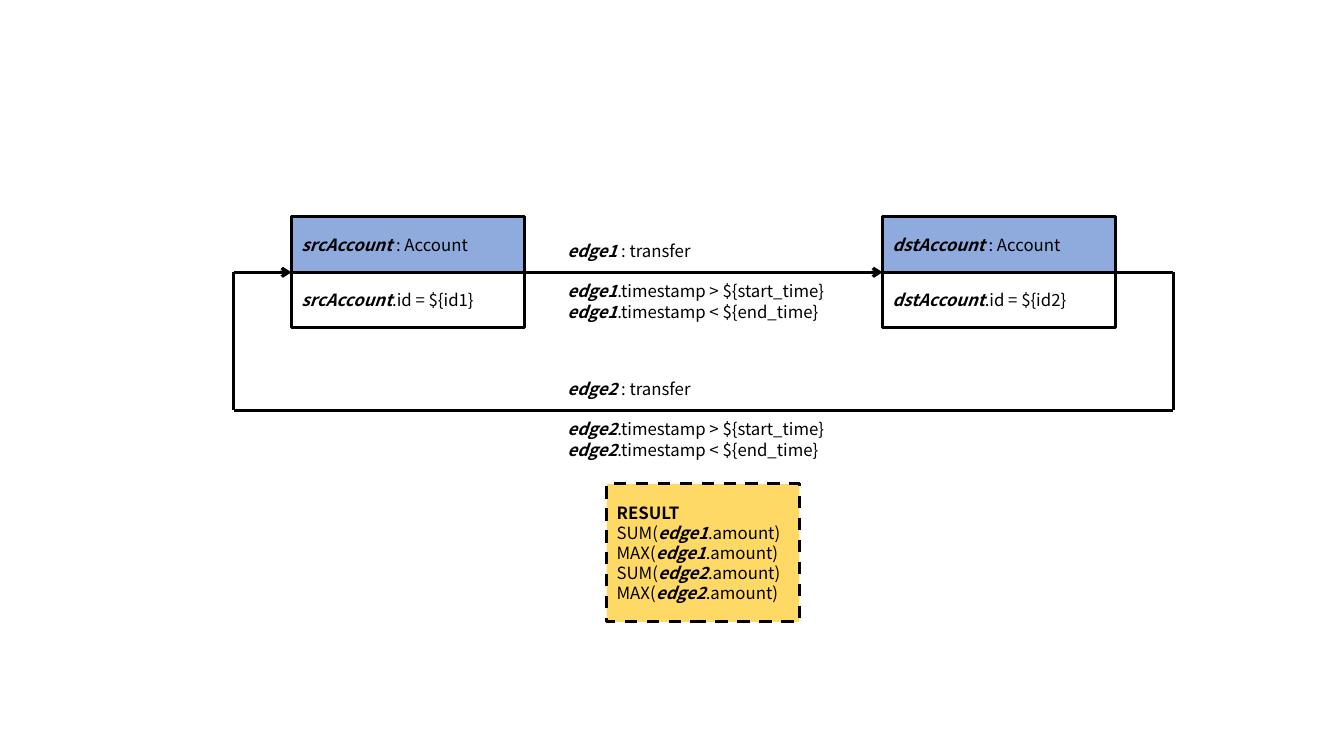
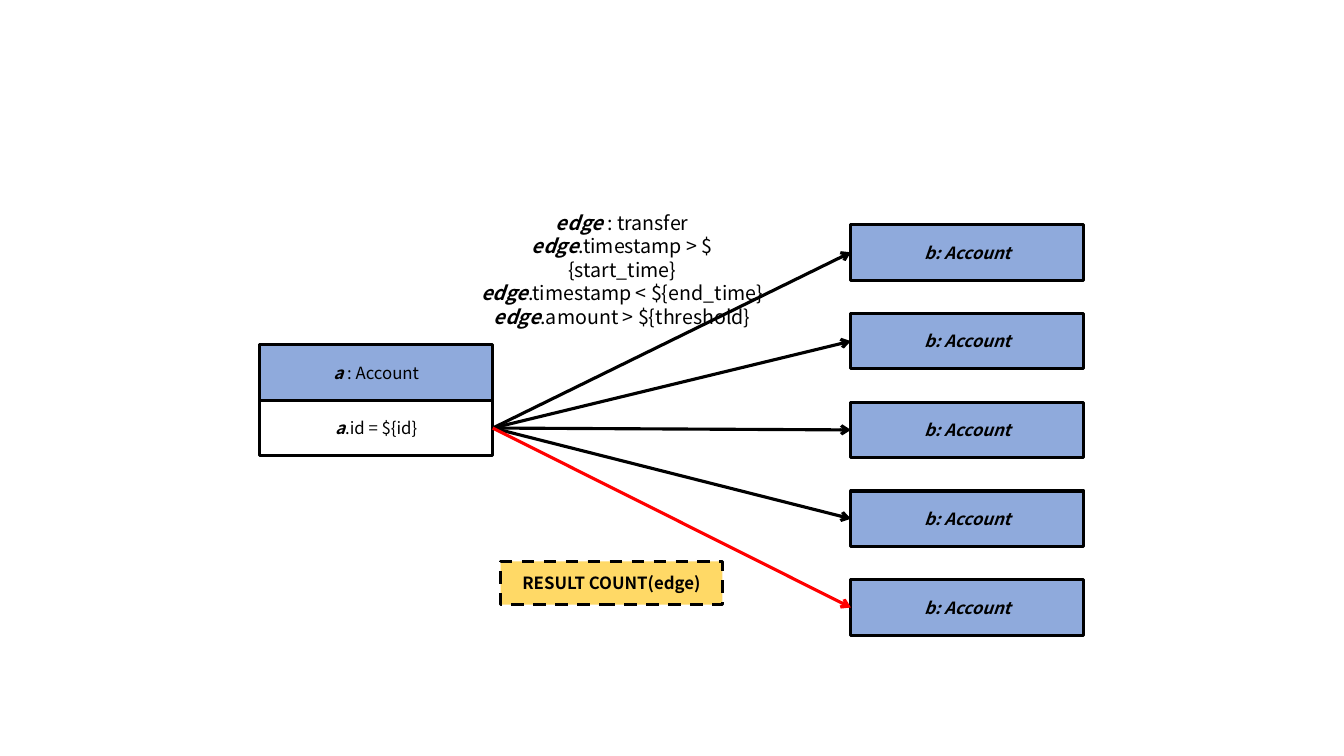
from dataclasses import dataclass
from pptx import Presentation
from pptx.dml.color import RGBColor
from pptx.enum.dml import MSO_LINE
from pptx.enum.shapes import MSO_CONNECTOR, MSO_SHAPE
from pptx.enum.text import MSO_ANCHOR, PP_ALIGN
from pptx.oxml.ns import qn
from pptx.util import Pt
from lxml.etree import SubElement


@dataclass(frozen=True)
class Theme:
    ink: RGBColor = RGBColor(0, 0, 0)
    alert: RGBColor = RGBColor(255, 0, 0)
    header: RGBColor = RGBColor(0x8F, 0xAA, 0xDC)
    result: RGBColor = RGBColor(0xFF, 0xD9, 0x66)
    font: str = "Noto Sans CJK SC"
    body: float = 12
    large: float = 14
    leading: float = 1.2
    stroke: float = 2.25


@dataclass(frozen=True)
class Box:
    left: float
    top: float
    width: float
    height: float

    @property
    def right(self):
        return self.left + self.width

    @property
    def bottom(self):
        return self.top + self.height

    @property
    def middle(self):
        return self.top + self.height / 2

    @property
    def lengths(self):
        return [Pt(value) for value in (self.left, self.top, self.width, self.height)]


THEME = Theme()
CELL_WIDTH, CELL_HEIGHT = 166.4, 39.7
PLAIN = {"bold": False, "italic": False}
STRONG = {"bold": True, "italic": False}
NAME = {"bold": True, "italic": True}


def apply_format(target, values):
    for key, value in values.items():
        setattr(target, key, value)


def named(name, rest):
    return [(name, NAME), (rest, PLAIN)]


def write_lines(frame, lines, size=THEME.body, align=PP_ALIGN.LEFT, gap_after_first=0):
    frame.word_wrap = True
    for index, line in enumerate(lines):
        para = frame.paragraphs[0] if index == 0 else frame.add_paragraph()
        apply_format(para, {
            "alignment": align,
            "line_spacing": Pt(size * THEME.leading),
            "space_before": Pt(gap_after_first if index == 1 else 0),
        })
        for text, style in line:
            span = para.add_run()
            span.text = text
            apply_format(span.font, {"name": THEME.font, "size": Pt(size), **style})
            span.font.color.rgb = THEME.ink


def add_panel(page, box, lines, fill=None, align=PP_ALIGN.LEFT, dash=None):
    panel = page.shapes.add_shape(MSO_SHAPE.RECTANGLE, *box.lengths)
    panel.shadow.inherit = False
    if fill is None:
        panel.fill.background()
    else:
        panel.fill.solid()
        panel.fill.fore_color.rgb = fill
    panel.line.color.rgb = THEME.ink
    apply_format(panel.line, {"width": Pt(THEME.stroke), "dash_style": dash})
    panel.text_frame.vertical_anchor = MSO_ANCHOR.MIDDLE
    write_lines(panel.text_frame, lines, align=align)


def add_result(page, box, lines, align=PP_ALIGN.LEFT):
    add_panel(page, box, lines, THEME.result, align, MSO_LINE.DASH)


def add_account(page, box, name, condition, separator=" ", align=PP_ALIGN.LEFT):
    half = box.height / 2
    rows = (
        (named(name + separator, ": Account"), THEME.header),
        (named(name, condition), None),
    )
    for index, (line, fill) in enumerate(rows):
        cell = Box(box.left, box.top + index * half, box.width, half)
        add_panel(page, cell, [line], fill, align)


def add_label(page, box, lines, **options):
    label = page.shapes.add_textbox(*box.lengths)
    write_lines(label.text_frame, lines, **options)


def edge_lines(name):
    return [
        named(name + " ", ": transfer"),
        named(name, ".timestamp > ${start_time}"),
        named(name, ".timestamp < ${end_time}"),
    ]


def add_line(page, start, end, color=THEME.ink, arrow=False):
    connector = page.shapes.add_connector(
        MSO_CONNECTOR.STRAIGHT, *[Pt(value) for value in (*start, *end)])
    connector.line.color.rgb = color
    connector.line.width = Pt(THEME.stroke)
    if arrow:
        SubElement(connector.line._get_or_add_ln(), qn("a:tailEnd"), type="arrow")
    SubElement(connector._element.spPr, qn("a:effectLst"))


def draw_transfer_cycle(page, box):
    margin = 41.4
    source = Box(box.left + margin, box.top, CELL_WIDTH, 2 * CELL_HEIGHT)
    target = Box(box.right - margin - CELL_WIDTH, box.top, CELL_WIDTH, 2 * CELL_HEIGHT)
    return_level = box.top + 138.2
    add_account(page, source, "srcAccount", ".id = ${id1}")
    add_account(page, target, "dstAccount", ".id = ${id2}")

    add_line(page, (source.right, source.middle), (target.left, target.middle), arrow=True)
    corners = [
        (target.right, target.middle),
        (box.right, target.middle),
        (box.right, return_level),
        (box.left, return_level),
        (box.left, source.middle),
        (source.left, source.middle),
    ]
    for index, (start, end) in enumerate(zip(corners, corners[1:])):
        add_line(page, start, end, arrow=index == len(corners) - 2)

    for name, level in (("edge1", source.middle), ("edge2", return_level)):
        label = Box(box.left + 231.4, level - 26, 216, 65.5)
        add_label(page, label, edge_lines(name),
                  gap_after_first=THEME.body * THEME.leading)

    lines = [[("RESULT", STRONG)]]
    for name in ("edge1", "edge2"):
        for function in ("SUM(", "MAX("):
            lines.append([(function, PLAIN), *named(name, ".amount)")])
    add_result(page, Box(box.left + 266.6, box.bottom - 98.6, 137.6, 98.6), lines)


def draw_transfer_fan(page, box):
    center = PP_ALIGN.CENTER
    account = Box(box.left, box.top + 99.4, CELL_WIDTH, 2 * CELL_HEIGHT)
    add_account(page, account, "a", ".id = ${id}", align=center)
    origin = (account.right, account.top + 1.5 * CELL_HEIGHT)

    lines = edge_lines("edge") + [named("edge", ".amount > ${threshold}")]
    add_label(page, Box(box.left + 150.6, box.top, 216.6, 75), lines,
              size=THEME.large, align=center)
    add_result(page, Box(box.left + 172, box.top + 254.2, 158.4, 31),
               [[("RESULT COUNT(edge)", STRONG)]], center)

    count = 5
    first_top = box.top + 13.6
    pitch = (box.bottom - CELL_HEIGHT - first_top) / (count - 1)
    for index in range(count):
        target = Box(box.right - CELL_WIDTH, first_top + index * pitch,
                     CELL_WIDTH, CELL_HEIGHT)
        add_panel(page, target, [[("b: Account", NAME)]], THEME.header, center)
        color = THEME.alert if index == count - 1 else THEME.ink
        add_line(page, origin, (target.left, target.middle), color, arrow=True)


deck = Presentation()
apply_format(deck, {"slide_width": Pt(960), "slide_height": Pt(540)})
regions = (
    (draw_transfer_cycle, Box(166.8, 154.8, 671.4, 289.4)),
    (draw_transfer_fan, Box(185.6, 146.8, 588.6, 307)),
)
for draw, region in regions:
    draw(deck.slides.add_slide(deck.slide_layouts[6]), region)
deck.save("out.pptx")
